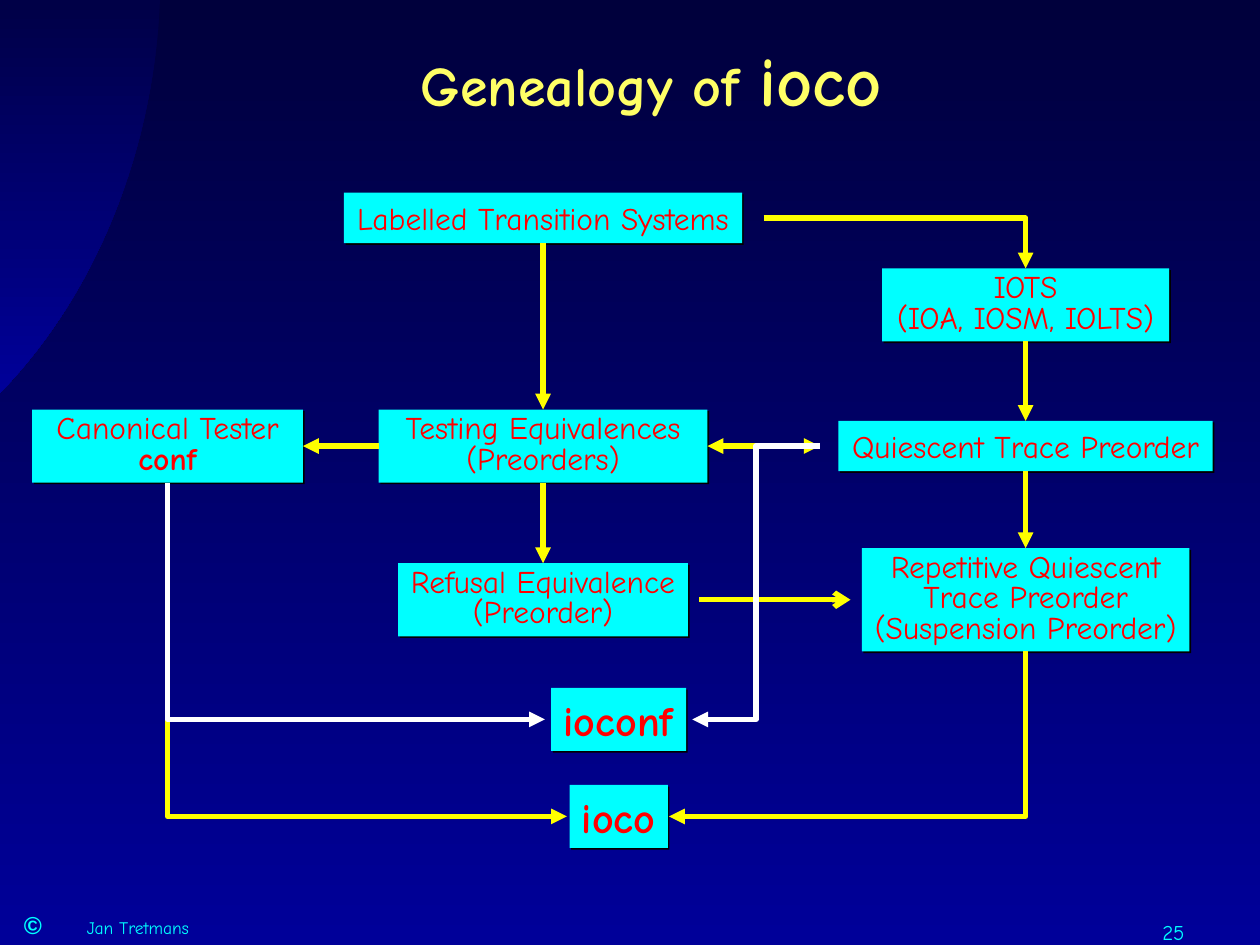
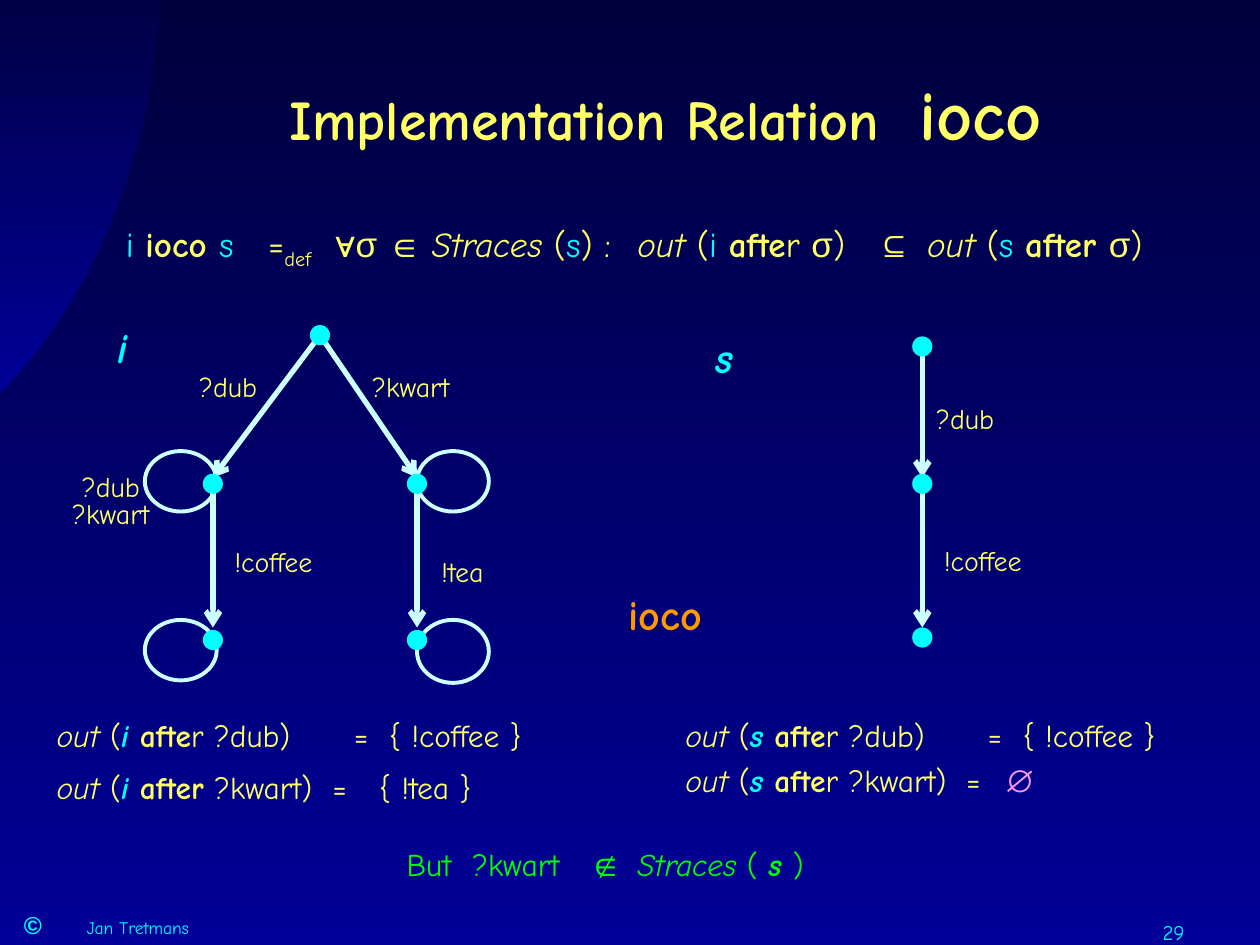
from lxml import etree
from pptx import Presentation, util as u
from pptx.dml.color import RGBColor
from pptx.enum import shapes, text
from pptx.oxml.ns import qn

# ---- Shared look ----
WIDTH, HEIGHT = 10, 7.5
FONT, SYMBOL_FONT = "Comic Neue", "Arial"
NIGHT, NAVY = RGBColor(0, 0, 0x3C), RGBColor(0, 0, 0x47)
BLUE = RGBColor(0, 0, 0x99)
CYAN, PALE_CYAN = RGBColor(0, 0xFF, 0xFF), RGBColor(0xCC, 0xFF, 0xFF)
YELLOW, CREAM = RGBColor(0xFF, 0xFF, 0), RGBColor(0xFF, 0xFF, 0x66)
RED, ORANGE = RGBColor(0xFF, 0, 0), RGBColor(0xFF, 0x99, 0)
GREEN, PINK = RGBColor(0, 0xFF, 0), RGBColor(0xFF, 0x99, 0xFF)
WHITE = RGBColor(0xFF, 0xFF, 0xFF)
ARC = [(0, 3.12), (0.76, 2.34), (1.22, 1.2), (1.27, 0)]
ARC_STEPS = 30

LEFT, CENTER, RIGHT = text.PP_ALIGN.LEFT, text.PP_ALIGN.CENTER, text.PP_ALIGN.RIGHT
TOP, MIDDLE = text.MSO_ANCHOR.TOP, text.MSO_ANCHOR.MIDDLE

# Span styles: what differs from the paragraph
PLAIN, BOLD, ITALIC = {}, {"bold": True}, {"italic": True}
BIG = {"size": 40}
STATE = {"color": CYAN}
STRONG_STATE = {"color": CYAN, "bold": True, "italic": True}
SYMBOL = {"name": SYMBOL_FONT}

# ---- Slide 1: name -> centre x, centre y, width, height, size, lines ----
NODES = {
    "lts": (4.31, 1.73, 3.16, 0.4, 18, "Labelled Transition Systems"),
    "iots": (8.14, 2.42, 2.28, 0.58, 18, "IOTS\n(IOA, IOSM, IOLTS)"),
    "testing": (4.31, 3.54, 2.61, 0.58, 18, "Testing Equivalences\n(Preorders)"),
    "refusal": (4.31, 4.76, 2.3, 0.58, 18, "Refusal Equivalence\n(Preorder)"),
    "canonical": (1.33, 3.54, 2.15, 0.58, 18, "Canonical Tester\nconf"),
    "quiescent": (8.14, 3.54, 2.97, 0.4, 18, "Quiescent Trace Preorder"),
    "repetitive": (8.14, 4.76, 2.6, 0.82, 18,
                   "Repetitive Quiescent\nTrace Preorder\n(Suspension Preorder)"),
    "ioco": (4.91, 6.48, 0.78, 0.5, 24, "ioco"),
    "ioconf": (4.91, 5.71, 1.07, 0.5, 24, "ioconf"),
}
BOLD_LINES = {"conf", "ioco", "ioconf"}
SIDES = {"left": (-1, 0), "right": (1, 0), "top": (0, -1), "bottom": (0, 1)}

# (node, side, gap) twice, route, colour, start head, end head.
# A corner leaves its first port sideways, so some start at the arrowhead.
STRAIGHT, CORNER, STEP = "line", "bentConnector2", "bentConnector3"
EDGES = [
    (("lts", "bottom", 0), ("testing", "top", 0), STRAIGHT, YELLOW, None, "triangle"),
    (("lts", "right", 0.17), ("iots", "top", 0), CORNER, YELLOW, None, "triangle"),
    (("testing", "bottom", 0), ("refusal", "top", 0), STRAIGHT, YELLOW, None, "triangle"),
    (("iots", "bottom", 0), ("quiescent", "top", 0), STRAIGHT, YELLOW, None, "triangle"),
    (("ioco", "left", 0.02), ("canonical", "bottom", 0), CORNER, YELLOW, "triangle", None),
    (("ioco", "right", 0.01), ("repetitive", "bottom", 0), CORNER, YELLOW, "triangle", None),
    (("quiescent", "bottom", 0), ("repetitive", "top", 0), STRAIGHT, YELLOW, None, "triangle"),
    (("testing", "left", 0), ("canonical", "right", 0), STRAIGHT, YELLOW, None, "triangle"),
    (("testing", "right", 0), ("quiescent", "left", 0.15), STRAIGHT, YELLOW,
     "triangle", "triangle"),
    (("refusal", "right", 0.09), ("repetitive", "left", 0.09), STRAIGHT, YELLOW, None, "arrow"),
    (("quiescent", "left", 0.15), ("ioconf", "right", 0.05), STEP, WHITE, None, "triangle"),
    (("ioconf", "left", 0.05), ("canonical", "bottom", 0), CORNER, WHITE, "triangle", None),
]

# ---- Slide 2: two transition systems ----
STATES = {
    "i0": (2.54, 2.66), "i1": (1.69, 3.84), "i2": (3.31, 3.84),
    "i3": (1.69, 5.08), "i4": (3.31, 5.08),
    "s0": (7.32, 2.75), "s1": (7.32, 3.84), "s2": (7.32, 5.06),
}
DOT = 0.16
# from, to, distance of the tip above the target's centre
STEPS = [("i0", "i1", 0.05), ("i0", "i2", 0.05), ("i1", "i3", 0.1), ("i2", "i4", 0.1),
         ("s0", "s1", 0.05), ("s1", "s2", 0.08)]
LOOPS = [(1.15, 3.58, 0.48), (3.31, 3.58, 0.48), (1.15, 4.92, 0.48), (3.31, 4.92, 0.5)]
LOOP_WIDTH = 0.57
# left, top, label; all one inch wide
LABELS = [(1.31, 2.83, "?dub"), (2.76, 2.83, "?kwart"), (1.67, 4.22, "!coffee"),
          (3.17, 4.3, "!tea"), (7.16, 3.08, "?dub"), (7.3, 4.21, "!coffee")]
# centre x, top, name, colour, italic
NAMES = [(0.97, 2.42, "i", CYAN, True), (5.75, 2.5, "s", CYAN, True),
         (5.28, 4.54, "ioco", ORANGE, False)]

DEFINITION = [
    ("i ", STATE), ("ioco ", BOLD), ("s", STATE), ("\t=", PLAIN), ("def", {"base": -25000}),
    ("\t", PLAIN), ("∀σ ∈ ", SYMBOL), ("Straces ", ITALIC), ("(", PLAIN), ("s", STATE),
    (") :\t", PLAIN), ("out ", ITALIC), ("(", PLAIN), ("i ", STATE), ("afte", BOLD),
    ("r ", PLAIN), ("σ", SYMBOL), (")\t", PLAIN), ("⊆\t", SYMBOL), ("out ", ITALIC),
    ("(", PLAIN), ("s ", STATE), ("after ", BOLD), ("σ", SYMBOL), (")", PLAIN)]
DEFINITION_TABS = [1.13, 1.66, 4.06, 5.96, 6.36]


def output_of(state, bold_part, rest, result, style=PLAIN):
    return [("out", ITALIC), (" (", PLAIN), (state + " ", STRONG_STATE),
            (bold_part, BOLD), (rest + "\t=\t", PLAIN), (result, style)]


# left, top, spans, tab stops
OUTPUTS = [
    (0.35, 5.57, output_of("i", "afte", "r ?dub)", "{ !coffee }"), [2.36, 2.64]),
    (0.35, 5.99, output_of("i", "after", " ?kwart)", "{ !tea }"), [2.19, 2.56]),
    (5.34, 5.57, output_of("s", "afte", "r ?dub)", "{ !coffee }"), [2.4, 2.68]),
    (5.34, 5.93, output_of("s", "afte", "r ?kwart)", "∅",
                           {"name": SYMBOL_FONT, "color": PINK, "bold": True}), [2.23, 2.53]),
]
REMARK = [("But\t?kwart\t", PLAIN), ("∉", {"name": SYMBOL_FONT, "size": 20, "bold": True}),
          ("\t", PLAIN), ("Straces ", ITALIC), ("( ", PLAIN),
          ("s ", {"bold": True, "italic": True}), (")", PLAIN)]


# ---- Text ----
def style_font(font, color, size, name=FONT, bold=False, italic=False, base=None):
    font.name, font.size, font.bold, font.italic = name, u.Pt(size), bold, italic
    font.color.rgb = color


def set_tabs(para, stops, indent=0):
    props = para._p.get_or_add_pPr()
    if indent:
        props.set("marL", str(u.Inches(indent)))
        props.set("indent", "0")
    tabs = etree.SubElement(props, qn("a:tabLst"))
    for stop in stops:
        etree.SubElement(tabs, qn("a:tab"), pos=str(u.Inches(stop)), algn="l")


def add_text(page, left, top, width, height, spans, color, size,
             align=LEFT, anchor=TOP, spacing=1.0, tabs=(), indent=0, bold=False):
    box = page.shapes.add_textbox(*map(u.Inches, (left, top, width, height)))
    frame = box.text_frame
    frame.word_wrap, frame.vertical_anchor = True, anchor
    para = frame.paragraphs[0]
    if tabs:
        set_tabs(para, tabs, indent)
    para.alignment, para.line_spacing = align, spacing
    for words, style in spans:
        span = para.add_run()
        span.text = words
        style_font(span.font, **{"color": color, "size": size, "bold": bold, **style})
        if "base" in style:
            span.font._element.set("baseline", str(style["base"]))
    return box


# ---- Shapes ----
def add_solid(page, kind, left, top, width, height, fill=None, line=None):
    shape = page.shapes.add_shape(kind, *map(u.Inches, (left, top, width, height)))
    shape.shadow.inherit = False
    if fill is None:
        shape.fill.background()
    else:
        shape.fill.solid()
        shape.fill.fore_color.rgb = fill
    if line is None:
        shape.line.fill.background()
    else:
        shape.line.color.rgb, shape.line.width = line, u.Pt(2.25)
    return shape


def add_arrow(page, start, end, color, route=STRAIGHT, head=None, tail=None):
    kind = shapes.MSO_CONNECTOR.STRAIGHT if route == STRAIGHT else shapes.MSO_CONNECTOR.ELBOW
    arrow = page.shapes.add_connector(kind, *map(u.Inches, (*start, *end)))
    arrow.line.color.rgb, arrow.line.width = color, u.Pt(3)
    props = arrow._element.spPr
    props.find(qn("a:prstGeom")).set("prst", route)
    outline = props.find(qn("a:ln"))
    for tag, form in (("a:headEnd", head), ("a:tailEnd", tail)):
        if form:
            etree.SubElement(outline, qn(tag), type=form)
    etree.SubElement(props, qn("a:effectLst"))


def fill_gradient(fill, upper, lower):
    fill.gradient()
    fill.gradient_angle = 270
    for stop, color, place in zip(fill.gradient_stops, (upper, lower), (0, 1)):
        stop.color.rgb, stop.position = color, place


def arc_point(t):
    weights = ((1 - t) ** 3, 3 * t * (1 - t) ** 2, 3 * t * t * (1 - t), t ** 3)
    return tuple(u.Inches(sum(w * p[axis] for w, p in zip(weights, ARC))) for axis in (0, 1))


def start_page(deck, number, title, title_at, **title_style):
    page = deck.slides.add_slide(deck.slide_layouts[6])
    fill_gradient(page.background.fill, NIGHT, BLUE)
    outline = page.shapes.build_freeform(0, 0)
    outline.add_line_segments([arc_point(n / ARC_STEPS) for n in range(ARC_STEPS + 1)])
    wedge = outline.convert_to_shape()
    wedge.shadow.inherit = False
    fill_gradient(wedge.fill, NAVY, BLUE)
    wedge.line.fill.background()
    # Footer and title
    mark = {"name": SYMBOL_FONT, "size": 14, "bold": True}
    add_text(page, 0, 7.17, 4.99, 0.33, [("©", mark), ("\tJan Tretmans", PLAIN)],
             CYAN, 10, tabs=[0.37], indent=0.09)
    add_text(page, 8.58, 7.25, 0.92, 0.25, [(str(number), PLAIN)], CYAN, 12, RIGHT)
    add_text(page, *title_at, 8.5, 1.25, title, CREAM, 32, anchor=MIDDLE, bold=True,
             **title_style)
    return page


# ---- Slide 1 ----
def port(name, side, gap):
    x, y, width, height = NODES[name][:4]
    dx, dy = SIDES[side]
    return x + dx * (width / 2 + gap), y + dy * (height / 2 + gap)


def add_node(page, x, y, width, height, size, lines):
    node = add_solid(page, shapes.MSO_SHAPE.RECTANGLE, x - width / 2, y - height / 2,
                     width, height, CYAN)
    effects = node._element.spPr.find(qn("a:effectLst"))
    shadow = etree.SubElement(effects, qn("a:outerShdw"), dist=str(u.Pt(1.4)), dir="2700000",
                              algn="ctr", rotWithShape="0")
    etree.SubElement(shadow, qn("a:srgbClr"), val="000000")
    frame = node.text_frame
    frame.word_wrap, frame.vertical_anchor = False, TOP
    frame.text = lines
    for para in frame.paragraphs:
        para.alignment = CENTER
        para.line_spacing = 0.8 if "\n" in lines else 1.0
        style_font(para.runs[0].font, RED, size, bold=para.text in BOLD_LINES)


def build_genealogy(deck):
    page = start_page(deck, 25, [("Genealogy of ", PLAIN), ("ioco", BIG)], (0.92, 0),
                      align=CENTER)
    for node in NODES.values():
        add_node(page, *node)
    for start, end, route, color, head, tail in EDGES:
        add_arrow(page, port(*start), port(*end), color, route, head, tail)


# ---- Slide 2 ----
def build_relation(deck):
    page = start_page(deck, 29, [("Implementation Relation\t", PLAIN), ("ioco", BIG)],
                      (1.05, 0.27), tabs=[6.17], indent=1.15)
    add_text(page, 0.9, 1.72, 8.8, 0.48, DEFINITION, CREAM, 20, tabs=DEFINITION_TABS)
    # Loops, transitions, then states on top
    for left, top, height in LOOPS:
        add_solid(page, shapes.MSO_SHAPE.OVAL, left, top, LOOP_WIDTH, height, line=PALE_CYAN)
    for start, end, gap in STEPS:
        x, y = STATES[end]
        add_arrow(page, STATES[start], (x, y - gap), PALE_CYAN, tail="arrow")
    for x, y in STATES.values():
        add_solid(page, shapes.MSO_SHAPE.FLOWCHART_CONNECTOR, x - DOT / 2, y - DOT / 2,
                  DOT, DOT, CYAN)
    # Labels
    for left, top, label in LABELS:
        add_text(page, left, top, 1, 0.42, [(label, PLAIN)], CREAM, 16, CENTER, MIDDLE, 1.2)
    loop_label = add_text(page, 0.38, 3.77, 1, 0.48, [("?dub", PLAIN)], CREAM, 16,
                          CENTER, MIDDLE, 0.6)
    para = loop_label.text_frame.add_paragraph()
    para.text = "?kwart"
    para.alignment, para.line_spacing, para.space_before = CENTER, 0.6, u.Pt(4)
    style_font(para.runs[0].font, CREAM, 16)
    for x, top, name, color, italic in NAMES:
        add_text(page, x - 0.5, top, 1, 0.58, [(name, {"italic": italic})], color, 24,
                 CENTER, MIDDLE, 1.2, bold=True)
    # Outputs and conclusion
    for left, top, spans, tabs in OUTPUTS:
        add_text(page, left, top, 4.31, 0.46, spans, CREAM, 18, spacing=1.2, tabs=tabs)
    add_text(page, 3.13, 6.56, 3.6, 0.5, REMARK, GREEN, 18, anchor=MIDDLE, spacing=1.2,
             tabs=[0.52, 1.44, 1.83])


def main():
    deck = Presentation()
    deck.slide_width, deck.slide_height = u.Inches(WIDTH), u.Inches(HEIGHT)
    build_genealogy(deck)
    build_relation(deck)
    deck.save("out.pptx")


if __name__ == "__main__":
    main()
